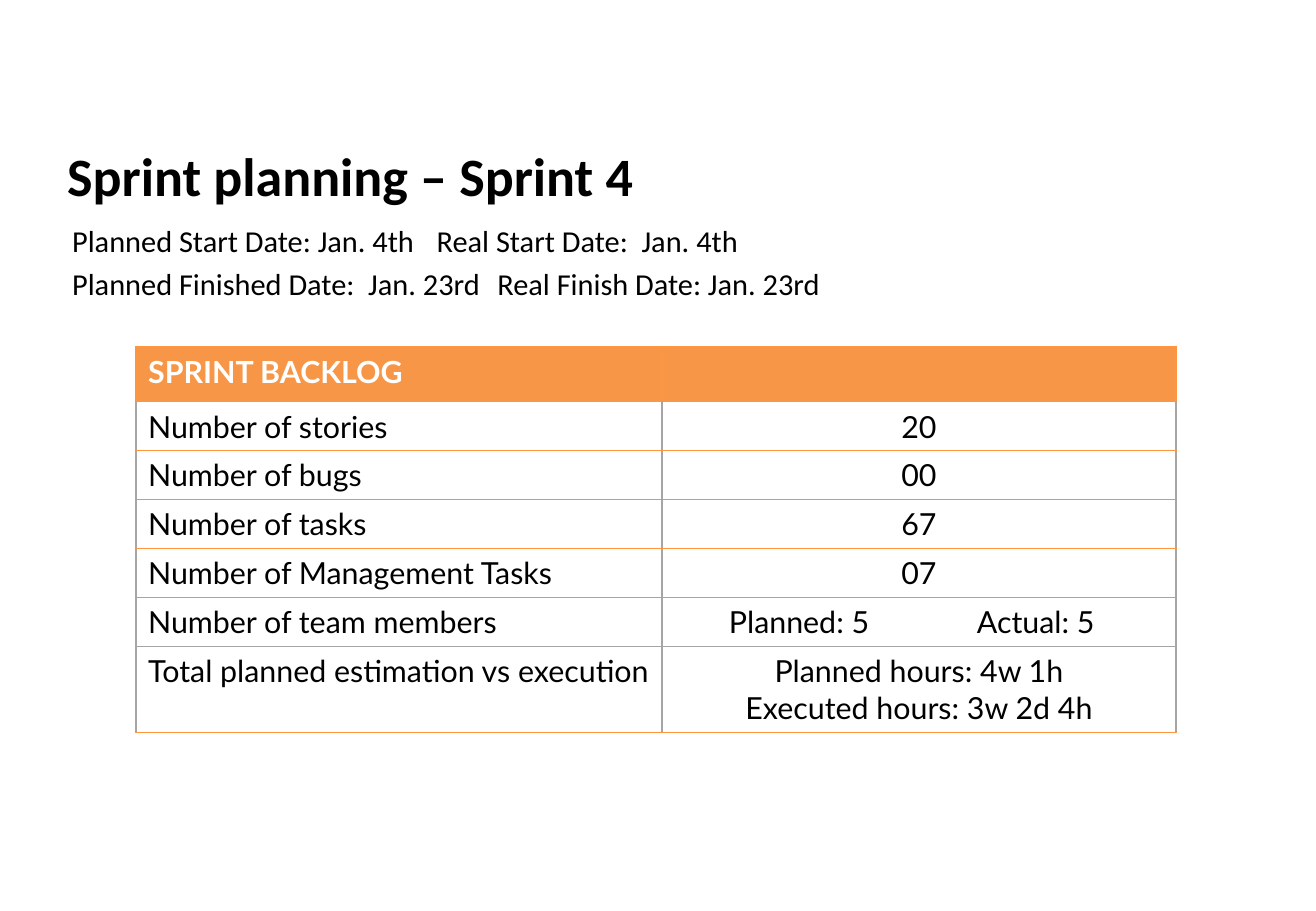
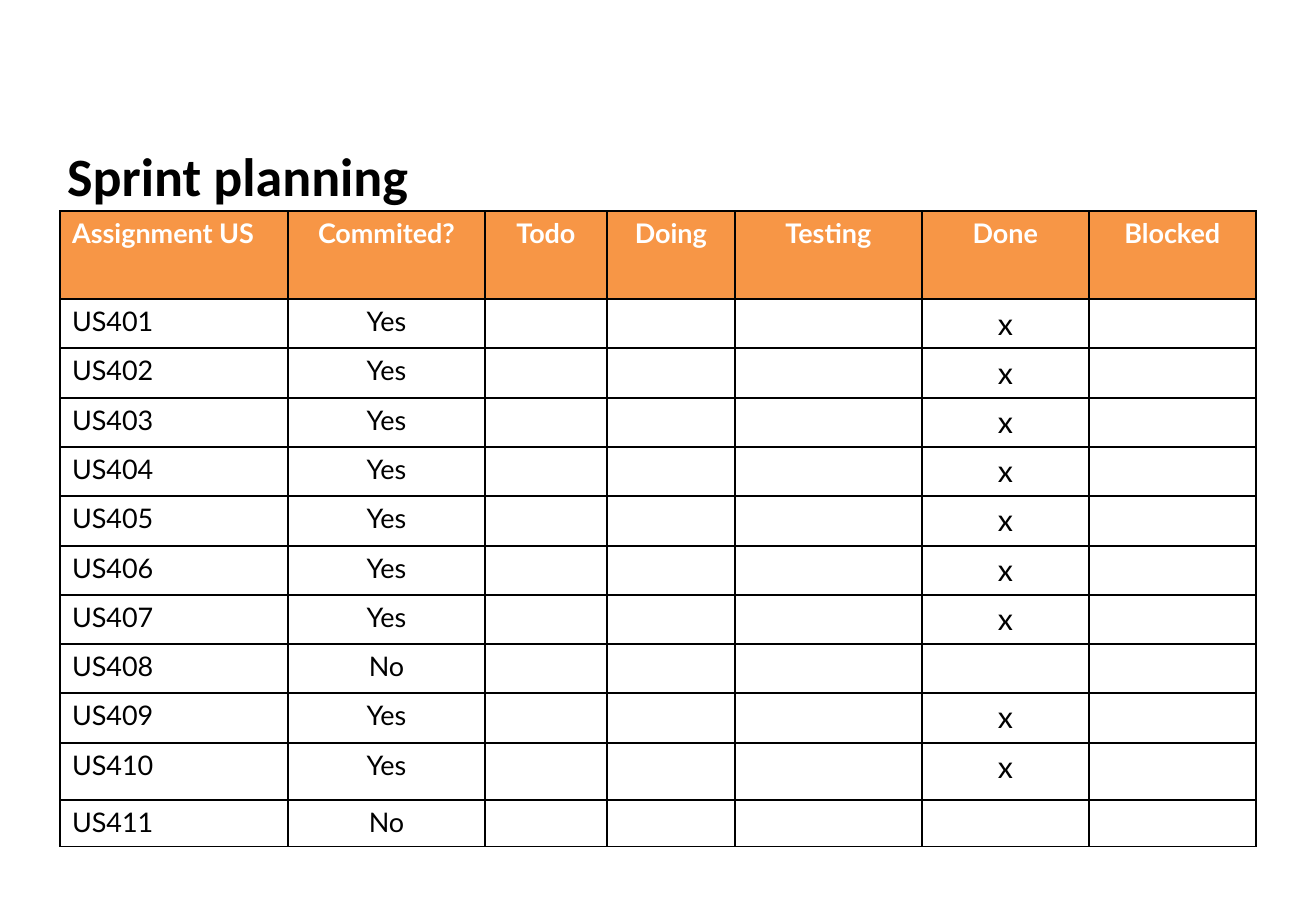
"""Build the two sprint planning slides."""
from dataclasses import dataclass
from typing import Optional

import lxml.etree
import pptx
import pptx.dml.color
import pptx.enum.text
import pptx.oxml.ns
import pptx.util

RGBColor = pptx.dml.color.RGBColor
PP_ALIGN = pptx.enum.text.PP_ALIGN
qn = pptx.oxml.ns.qn

BLACK = RGBColor(0, 0, 0)
WHITE = RGBColor(0xFF, 0xFF, 0xFF)
ORANGE = RGBColor(0xF7, 0x96, 0x46)
RULE_ORANGE = RGBColor(0xFF, 0x95, 0x3E)
RULE_GREY = RGBColor(0xA5, 0xA5, 0xA5)
EMU_PER_PX = 914400 / 121.5
TITLE_FONT = "Calibri"
TABLE_FONT = "Lato"


@dataclass(frozen=True)
class Box:
    left: int
    top: int
    width: int
    height: int


@dataclass(frozen=True)
class CellText:
    text: str
    size: int
    align: PP_ALIGN = PP_ALIGN.CENTER
    indent: int = 0
    tab: Optional[int] = None


@dataclass(frozen=True)
class TableSpec:
    left: int
    top: int
    widths: list[int]
    heights: list[int]
    rows: list[list[CellText]]
    size: int
    rule: RGBColor
    rule_pt: float
    side_rule: RGBColor
    grey_below: tuple[int, ...] = ()


def px(n: float) -> pptx.util.Emu:
    return pptx.util.Emu(round(n * EMU_PER_PX))


def place(sp, box: Box) -> None:
    sp.left, sp.top = px(box.left), px(box.top)
    sp.width, sp.height = px(box.width), px(box.height)


def add_run(p, text: str, font: str, size: int, color: RGBColor, bold: bool = False) -> None:
    r = p.add_run()
    r.text = text
    r.font.name = font
    r.font.size = pptx.util.Pt(size)
    r.font.bold = bold
    r.font.color.rgb = color


def add_tab_stop(p, at: int) -> None:
    tabs = lxml.etree.SubElement(p._p.get_or_add_pPr(), qn("a:tabLst"))
    lxml.etree.SubElement(tabs, qn("a:tab"), pos=str(px(at)), algn="l")


def prepare_frame(sp, box: Box):
    place(sp, box)
    tf = sp.text_frame
    tf.word_wrap = True
    tf.auto_size = pptx.enum.text.MSO_AUTO_SIZE.NONE
    tf.vertical_anchor = pptx.enum.text.MSO_ANCHOR.TOP
    return tf


def add_slide(prs, layout: int, title: str, title_width: int):
    s = prs.slides.add_slide(prs.slide_layouts[layout])
    tf = prepare_frame(s.shapes.title, Box(55, 132, title_width, 75))
    tf.margin_top = px(10)
    p = tf.paragraphs[0]
    p.alignment = PP_ALIGN.LEFT
    add_run(p, title, TITLE_FONT, 32, BLACK, bold=True)
    return s


def fill_dates(sp, lines: list[str]) -> None:
    tf = prepare_frame(sp, Box(60, 216, 1202, 95))
    for i, line in enumerate(lines):
        p = tf.add_paragraph() if i else tf.paragraphs[0]
        p.space_before = pptx.util.Pt(0)
        p.space_after = pptx.util.Pt(4)
        pPr = p._p.get_or_add_pPr()
        pPr.set("marL", "0")
        pPr.set("indent", "0")
        lxml.etree.SubElement(pPr, qn("a:buNone"))
        add_tab_stop(p, 569)
        add_run(p, line, TITLE_FONT, 18, BLACK)


def set_borders(cell, width: float, colors: dict[str, RGBColor]) -> None:
    tcPr = cell._tc.get_or_add_tcPr()
    for i, (side, color) in enumerate(colors.items()):
        ln = lxml.etree.Element(qn(f"a:{side}"), w=str(pptx.util.Pt(width)))
        fill = lxml.etree.SubElement(ln, qn("a:solidFill"))
        lxml.etree.SubElement(fill, qn("a:srgbClr"), val=str(color))
        tcPr.insert(i, ln)


def fill_cell(cell, item: CellText, header: bool) -> None:
    if header:
        cell.fill.solid()
        cell.fill.fore_color.rgb = ORANGE
    else:
        cell.fill.background()
    if item.indent:
        cell.margin_left = px(item.indent)
    tf = cell.text_frame
    for i, line in enumerate(item.text.split("\n")):
        p = tf.add_paragraph() if i else tf.paragraphs[0]
        p.alignment = item.align
        if item.tab:
            add_tab_stop(p, item.tab)
        if line:
            add_run(p, line, TABLE_FONT, item.size, WHITE if header else BLACK, header)
        else:
            lxml.etree.SubElement(p._p, qn("a:endParaRPr"), sz=str(item.size * 100))


def draw_table(s, spec: TableSpec) -> None:
    table = s.shapes.add_table(
        len(spec.heights), len(spec.widths), px(spec.left), px(spec.top),
        px(sum(spec.widths)), px(sum(spec.heights))).table
    table.first_row = table.horz_banding = False
    for column, width in zip(table.columns, spec.widths):
        column.width = px(width)
    for row, height in zip(table.rows, spec.heights):
        row.height = px(height)
    for i, row in enumerate(spec.rows):
        side = spec.side_rule if i else spec.rule
        above, below = (RULE_GREY if n in spec.grey_below else spec.rule for n in (i - 1, i))
        for j, item in enumerate(row):
            cell = table.cell(i, j)
            fill_cell(cell, item, header=i == 0)
            set_borders(cell, spec.rule_pt,
                        {"lnL": side, "lnR": side, "lnT": above, "lnB": below})


def backlog_table() -> TableSpec:
    values = [
        ("SPRINT BACKLOG", CellText("", 18)),
        ("Number of stories", CellText("20", 18)),
        ("Number of bugs", CellText("00", 18)),
        ("Number of tasks", CellText("67", 18)),
        ("Number of Management Tasks", CellText("07", 18)),
        ("Number of team members",
         CellText("Planned: 5\tActual: 5", 18, PP_ALIGN.LEFT, indent=67, tab=248)),
        ("Total planned estimation vs execution",
         CellText("Planned hours: 4w 1h\nExecuted hours: 3w 2d 4h", 18)),
    ]
    rows = [[CellText(label, 18, PP_ALIGN.LEFT), value] for label, value in values]
    return TableSpec(136, 347, [526, 514], [55] + [49] * 5 + [86], rows, 18,
                     RULE_ORANGE, 0.74, RULE_GREY, grey_below=(2, 4, 5))


def assignment_table() -> TableSpec:
    heads = ["Assignment US", "Commited?", "Todo", "Doing", "Testing", "Done", "Blocked"]
    grid = [heads]
    for number in range(401, 412):
        done = number not in (408, 411)
        grid.append([f"US{number}", "Yes" if done else "No", "", "", "",
                     "x" if done else "", ""])
    rows = [[CellText(text, 18 if text == "x" else 16,
                      PP_ALIGN.CENTER if j else PP_ALIGN.LEFT)
             for j, text in enumerate(line)] for line in grid]
    return TableSpec(60, 211, [228, 197, 122, 128, 187, 167, 167],
                     [88, 49, 50, 49, 49, 50, 49, 49, 49, 50, 57, 47], rows, 16,
                     BLACK, 0.96, BLACK)


def main() -> None:
    prs = pptx.Presentation()
    prs.slide_width, prs.slide_height = px(1316), px(911)
    s = add_slide(prs, 1, "Sprint planning – Sprint 4", 1202)
    draw_table(s, backlog_table())
    fill_dates(s.placeholders[1], [
        "Planned Start Date: Jan. 4th\tReal Start Date:\u00a0 Jan. 4th",
        "Planned Finished Date:\u00a0 Jan. 23rd\tReal Finish Date: Jan. 23rd",
    ])
    s = add_slide(prs, 5, "Sprint planning", 1225)
    draw_table(s, assignment_table())
    prs.save("out.pptx")


main()
